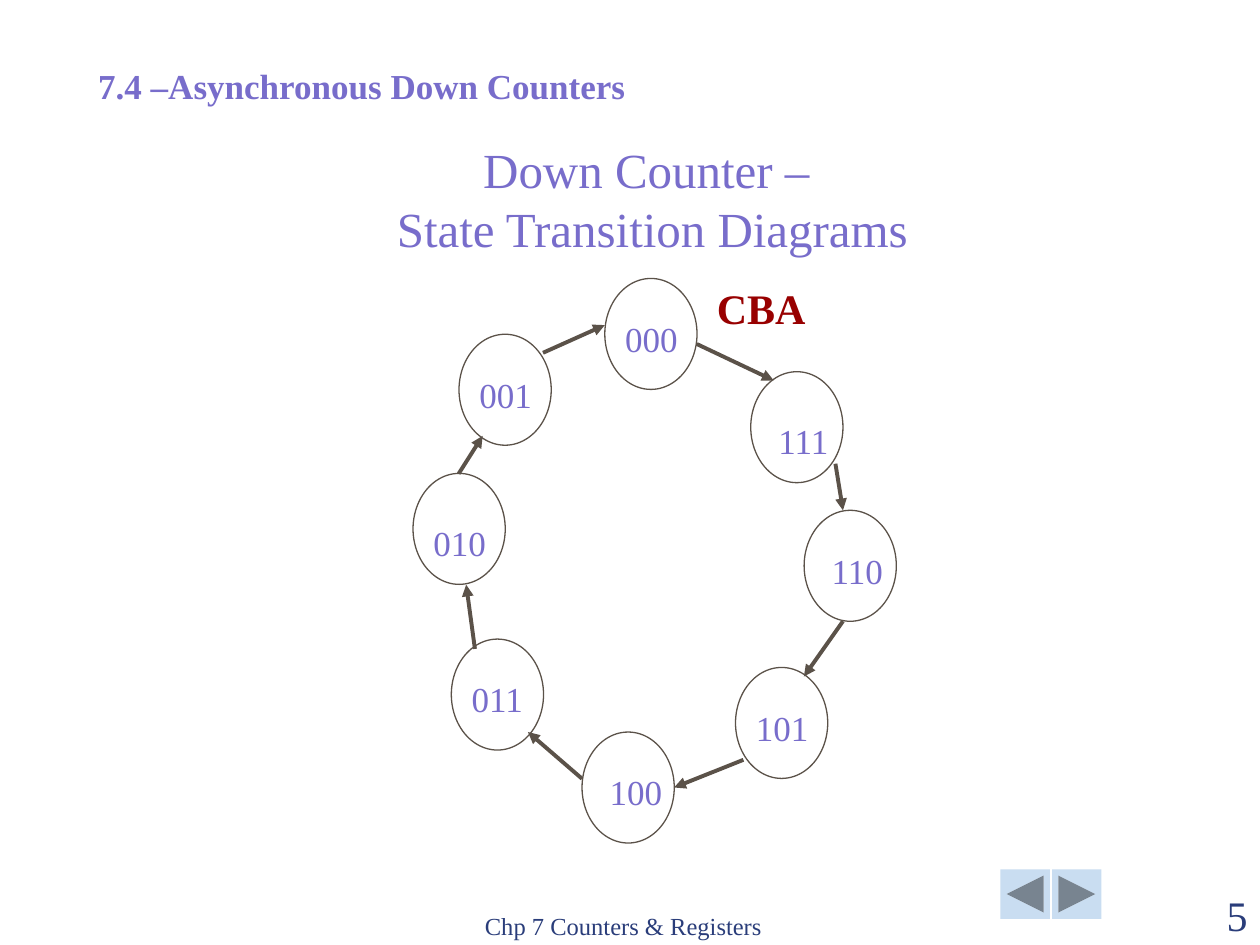
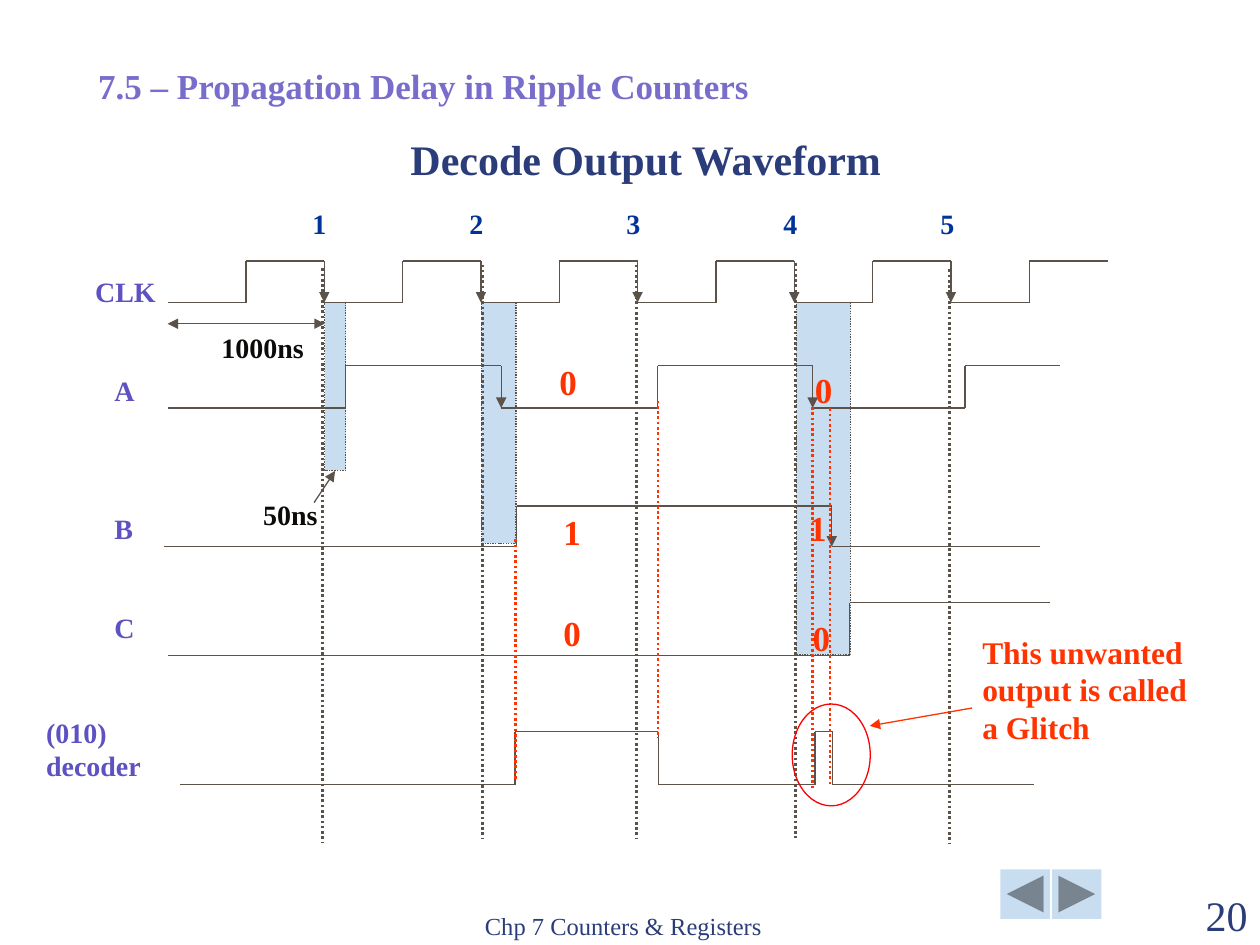
"""Build two slides on counters: a state transition ring and a decoder waveform."""
from dataclasses import dataclass
from itertools import pairwise

from lxml import etree
from pptx import Presentation
from pptx import util as u
from pptx.dml import color as colors
from pptx.enum import dml, shapes, text
from pptx.oxml import ns

Pt = u.Pt
rgb = colors.RGBColor.from_string


@dataclass(frozen=True)
class Theme:
    font: str = "Times New Roman"
    navy: str = "2A3D7A"
    violet: str = "786DCB"
    label: str = "5E51C1"
    count: str = "003399"
    ink: str = "0C0B0A"
    line: str = "5B5249"
    band: str = "C9DDF1"
    crimson: str = "980000"
    alert: str = "FF3300"
    ring: str = "FF0000"
    footer: int = 14
    small: int = 16
    note: int = 18
    body: int = 20
    large: int = 24
    title: int = 28
    thin: float = 0.75
    dotted: float = 1.5
    thick: float = 2.25


theme = Theme()
DOT = dml.MSO_LINE.ROUND_DOT
CENTER, RIGHT = text.PP_ALIGN.CENTER, text.PP_ALIGN.RIGHT


def add_text(slide, words, box, size, color, bold=False, align=None, **frame_format):
    shape = slide.shapes.add_textbox(*map(Pt, box))
    frame = shape.text_frame
    for name, value in {"word_wrap": True, **frame_format}.items():
        setattr(frame, name, value)
    frame.text = words
    for paragraph in frame.paragraphs:
        paragraph.alignment = align
        for run in paragraph.runs:
            run_format = {"name": theme.font, "size": Pt(size), "bold": bold}
            for name, value in run_format.items():
                setattr(run.font, name, value)
            run.font.color.rgb = rgb(color)
    return frame


def add_line(slide, start, end, color=theme.line, width=theme.thin, dash=None, arrows=()):
    connector = slide.shapes.add_connector(
        shapes.MSO_CONNECTOR.STRAIGHT, *map(Pt, (*start, *end)))
    connector.line.color.rgb = rgb(color)
    for name, value in {"width": Pt(width), "dash_style": dash}.items():
        setattr(connector.line, name, value)
    outline = connector.line._get_or_add_ln()
    for arrow in arrows:
        etree.SubElement(outline, ns.qn(f"a:{arrow}"), type="triangle")
    etree.SubElement(connector._element.spPr, ns.qn("a:effectLst"))


presentation = Presentation()
presentation.slide_width, presentation.slide_height = Pt(720), Pt(540)
slides = []
headings = [
    ("7.4 –Asynchronous Down Counters", "5"),
    ("7.5 – Propagation Delay in Ripple Counters", "20"),
]
buttons = [
    (571.7, shapes.MSO_SHAPE.ACTION_BUTTON_BACK_OR_PREVIOUS),
    (601.2, shapes.MSO_SHAPE.ACTION_BUTTON_FORWARD_OR_NEXT),
]
bottom = {"vertical_anchor": text.MSO_ANCHOR.BOTTOM}
for heading, number in headings:
    slide = presentation.slides.add_slide(presentation.slide_layouts[6])
    slides.append(slide)
    for left, kind in buttons:
        button = slide.shapes.add_shape(kind, Pt(left), Pt(496.8), Pt(28.2), Pt(28.2))
        button.shadow.inherit = False
        button.fill.solid()
        button.fill.fore_color.rgb = rgb(theme.band)
        button.line.fill.background()
    add_text(slide, "Chp 7 Counters & Registers", (270, 504.7, 228, 36),
             theme.footer, theme.navy, **bottom)
    add_text(slide, number, (648, 504.7, 72, 36), theme.large, theme.navy,
             align=RIGHT, **bottom)
    add_text(slide, heading, (49, 33.1, 420, 31), theme.body, theme.violet, bold=True)

ring_slide, wave_slide = slides

title = add_text(ring_slide, "Down Counter –\nState Transition Diagrams",
                 (48.2, 74.9, 642.2, 75.6), theme.title, theme.violet,
                 align=CENTER, **bottom)
title.paragraphs[1]._p.get_or_add_pPr().set("marL", str(Pt(7)))

states = [
    ("000", 345.6, 159.1, 4.5, 18.7),
    ("111", 429, 212.4, 8.7, 23.8),
    ("110", 459.5, 291.6, 8.7, 18.7),
    ("101", 420.3, 381.4, 4.5, 18.7),
    ("100", 332.6, 418.3, 8.7, 18.7),
    ("011", 257.9, 365.2, 4.5, 18.7),
    ("010", 236, 270.5, 4.5, 23.8),
    ("001", 262.3, 191, 4.5, 18.7),
]
for name, left, top, indent, drop in states:
    state = ring_slide.shapes.add_shape(
        shapes.MSO_SHAPE.OVAL, Pt(left), Pt(top), Pt(52.7), Pt(63.4))
    state.shadow.inherit = False
    state.fill.background()
    state.line.color.rgb = rgb(theme.line)
    state.line.width = Pt(theme.thin)
    add_text(ring_slide, name, (left + indent, top + drop, 44.6, 31),
             theme.body, theme.violet, word_wrap=False)

transitions = [
    ((398.2, 196.6), (442.1, 217.4)),
    ((477.4, 265), (481.7, 291.6)),
    ((481.7, 355), (459.4, 386.6)),
    ((424.8, 434.2), (385.2, 450)),
    ((332.6, 445), (301.7, 418.3)),
    ((271.4, 370.8), (266.4, 334.1)),
    ((262.1, 270.7), (275.8, 249.1)),
    ((310.3, 201.6), (345.6, 185.8)),
]
for start, end in transitions:
    add_line(ring_slide, start, end, width=theme.thick, arrows=["tailEnd"])
add_text(ring_slide, "CBA", (402.5, 157.7, 65.5, 36), theme.large, theme.crimson,
         bold=True, word_wrap=False)

add_text(wave_slide, "Decode Output Waveform", (223.5, 72.7, 291, 36), theme.large,
         theme.navy, bold=True, align=CENTER, word_wrap=False)

delay_bands = [
    (455.3, 30.9, 201.2),
    (275.3, 19.6, 137.5),
    (185.6, 12, 95.8),
]
for left, width, height in delay_bands:
    band = wave_slide.shapes.add_shape(
        shapes.MSO_SHAPE.RECTANGLE, Pt(left), Pt(172.9), Pt(width), Pt(height))
    band.shadow.inherit = False
    band.fill.solid()
    band.fill.fore_color.rgb = rgb(theme.band)
    band.line.color.rgb = rgb(theme.line)
    for name, value in {"width": Pt(theme.thin), "dash_style": DOT}.items():
        setattr(band.line, name, value)

counts = add_text(wave_slide, "1\t2\t3\t4\t5", (171.4, 114.5, 411, 26.6),
                  theme.small, theme.count, bold=True)
tabs = etree.SubElement(counts.paragraphs[0]._p.get_or_add_pPr(), ns.qn("a:tabLst"))
for step in range(1, 5):
    etree.SubElement(tabs, ns.qn("a:tab"), pos=str(Pt(89.7 * step)), algn="l")

half_period = 44.76
clock_edges = [95.8 + half_period * step for step in range(13)]
fall_arrow = ["tailEnd"]
waveforms = [
    (172.9, 149.2, clock_edges, fall_arrow),
    (233.1, 209, [95.8, 197.4, 286.4, 375.8, 464.4, 551.5, 605.5], fall_arrow),
    (312.4, 289.2, [93.6, 295.2, 475.3, 594.5], fall_arrow),
    (374.4, 344.4, [95.8, 485.5, 599.8], fall_arrow),
    (448.4, 418.1, [103, 294.3, 376.2, 465.7, 475.8, 590.6], []),
]
for low, high, edges, falling in waveforms:
    last = len(edges) - 2
    for index, (start, end) in enumerate(pairwise(edges)):
        level, following = (high, low) if index % 2 else (low, high)
        add_line(wave_slide, (start, level), (end, level))
        if index < last:
            add_line(wave_slide, (end, level), (end, following),
                     arrows=falling if level == high else [])

guides = [
    (184.2, 153.4, 481.3, theme.line),
    (275.6, 151.2, 479, theme.line),
    (363.7, 151.2, 479.5, theme.line),
    (454.4, 150.5, 478.8, theme.line),
    (542.7, 154, 482.3, theme.line),
    (294.6, 308.2, 445, theme.alert),
    (474.4, 233.3, 448.6, theme.alert),
    (464.4, 232.6, 450.7, theme.alert),
    (376, 229, 422, theme.alert),
]
for x, top, end, color in guides:
    add_line(wave_slide, (x, top), (x, end), color, theme.dotted, DOT)

signals = [
    ("CLK", 47.3, 153.5, 52.6),
    ("A", 58.3, 209.9, 32),
    ("B", 58.3, 288.6, 32),
    ("C", 58.3, 345.6, 32),
    ("(010) decoder", 19.3, 405.3, 71.3),
]
for name, left, top, width in signals:
    add_text(wave_slide, name, (left, top, width, 26.6), theme.small, theme.label, bold=True)

add_line(wave_slide, (95.8, 185), (185.6, 185), arrows=["headEnd", "tailEnd"])
add_line(wave_slide, (179.5, 287.2), (191.5, 269.1), arrows=["tailEnd"])
for duration, left, top, width in [("1000ns", 119.5, 185.2, 61.9), ("50ns", 143.3, 281, 45.4)]:
    add_text(wave_slide, duration, (left, top, width, 26.6), theme.small, theme.ink,
             bold=True, word_wrap=False)

flush = dict.fromkeys(["margin_left", "margin_top", "margin_right", "margin_bottom"], 0)
bits = [
    ("0", 316.8, 206), ("1", 319, 291.7), ("0", 319, 349.4),
    ("0", 462.8, 210.6), ("1", 459.4, 289.4), ("0", 461.5, 352.3),
]
for bit, left, top in bits:
    add_text(wave_slide, bit, (left, top, 15.8, 23.8), theme.body, theme.alert,
             bold=True, align=CENTER, **flush)

glitch = wave_slide.shapes.add_shape(
    shapes.MSO_SHAPE.OVAL, Pt(452.7), Pt(402.3), Pt(44.6), Pt(58.2))
glitch.shadow.inherit = False
glitch.fill.background()
glitch.line.color.rgb = rgb(theme.ring)
glitch.line.width = Pt(theme.thin)
add_line(wave_slide, (555.4, 404.6), (497, 414.8), theme.alert, arrows=["tailEnd"])
add_text(wave_slide, "This unwanted output is called a Glitch", (554.2, 358, 138.2, 72),
         theme.note, theme.alert, bold=True)

presentation.save("out.pptx")
